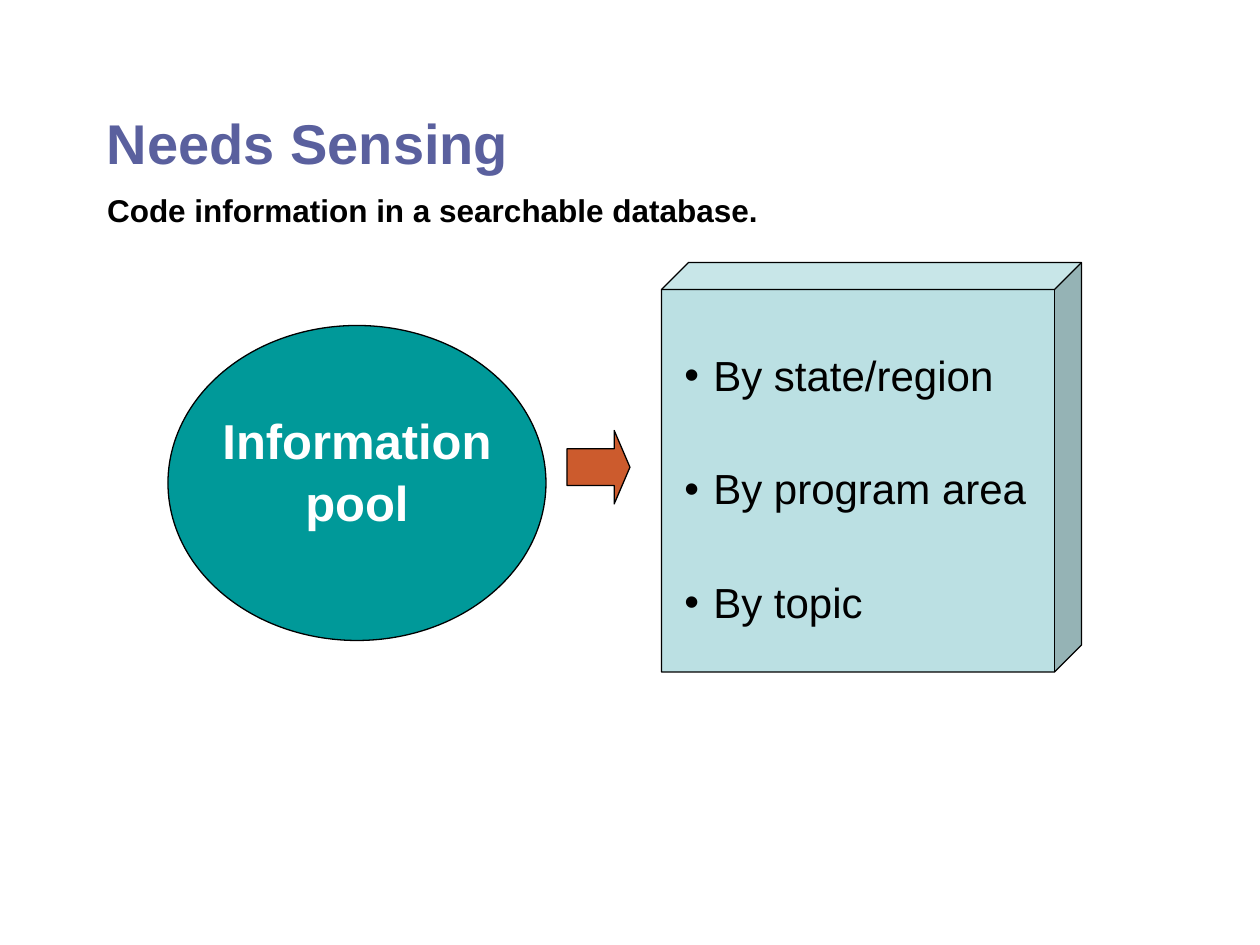
from lxml import etree
from pptx import Presentation, util as u
from pptx.dml.color import RGBColor
from pptx.enum import shapes, text
from pptx.oxml.ns import qn

BLACK = RGBColor(0x00, 0x00, 0x00)
WHITE = RGBColor(0xFF, 0xFF, 0xFF)
VIOLET = RGBColor(0x5A, 0x60, 0x9E)
TEAL = RGBColor(0x00, 0x99, 0x99)
RUST = RGBColor(0xCC, 0x5B, 0x2D)
PALE = RGBColor(0xBB, 0xE0, 0xE3)

# Grid of twelve columns and nine rows to the slide
deck = Presentation()
deck.slide_width, deck.slide_height = u.Inches(10), u.Inches(7.5)
COL = deck.slide_width / 120 * 10
ROW = deck.slide_height / 9
slide = deck.slides.add_slide(deck.slide_layouts[5])


def place(col, row, wide, high):
    """Turn grid units into left, top, width and height."""
    return [round(n) for n in (col * COL, row * ROW, wide * COL, high * ROW)]


def write(box, lines, size, color=BLACK, bold=False, align=text.PP_ALIGN.LEFT,
          anchor=text.MSO_ANCHOR.TOP, wrap=True, top=0.05, space=1.0,
          gap=0, bullet=False):
    frame = box.text_frame
    frame.word_wrap = wrap
    frame.auto_size = text.MSO_AUTO_SIZE.NONE
    frame.vertical_anchor = anchor
    frame.margin_left = frame.margin_right = u.Inches(0.1)
    frame.margin_top, frame.margin_bottom = u.Inches(top), u.Inches(0.05)
    for i, line in enumerate(lines):
        para = frame.paragraphs[0] if i == 0 else frame.add_paragraph()
        para.text = line
        para.alignment = align
        para.line_spacing = space
        para.space_before = u.Pt(gap if i else 0)
        if bullet:
            props = para._p.get_or_add_pPr()
            props.set("marL", str(u.Inches(0.23)))
            props.set("indent", str(-u.Inches(0.23)))
            etree.SubElement(props, qn("a:buFont")).set("typeface", "Arial")
            etree.SubElement(props, qn("a:buChar")).set("char", "•")
        font = para.font
        font.name, font.size, font.bold = "Arial", u.Pt(size), bold
        font.color.rgb = color


# Heading and title line
head = slide.shapes.add_textbox(*place(0.9, 0.94, 4.07, 0.77))
write(head, ["Needs Sensing"], 32, color=VIOLET, bold=True, wrap=False,
      space=1.05)

title = slide.shapes.title
title.left, title.top, title.width, title.height = place(0.9, 1.7, 10.2, 0.6)
write(title, ["Code information in a searchable database."], 18, bold=True,
      anchor=text.MSO_ANCHOR.MIDDLE)

# Pool, arrow and database block
KIND = shapes.MSO_SHAPE
for kind, spot, fill, adjust in (
    (KIND.OVAL, (1.6, 3.1, 3.6, 3), TEAL, ()),
    (KIND.RIGHT_ARROW, (5.4, 4.1, 0.6, 0.7), RUST, (0.5, 0.25)),
    (KIND.CUBE, (6.3, 2.5, 4, 3.9), PALE, (0.066,)),
):
    shape = slide.shapes.add_shape(kind, *place(*spot))
    shape.shadow.inherit = False
    shape.fill.solid()
    shape.fill.fore_color.rgb = fill
    shape.line.color.rgb = BLACK
    shape.line.width = u.Pt(0.75)
    for i, value in enumerate(adjust):
        shape.adjustments[i] = value

# Labels
pool = slide.shapes.add_textbox(*place(1.6, 3.85, 3.6, 1.25))
write(pool, ["Information pool"], 28, color=WHITE, bold=True, space=1.05,
      align=text.PP_ALIGN.CENTER, anchor=text.MSO_ANCHOR.MIDDLE)

codes = slide.shapes.add_textbox(*place(6.4, 2.9, 3.5, 3.1))
write(codes, ["By state/region", "By program area", "By topic"], 24,
      top=0.4, space=0.9, gap=39, bullet=True)

deck.save("out.pptx")
